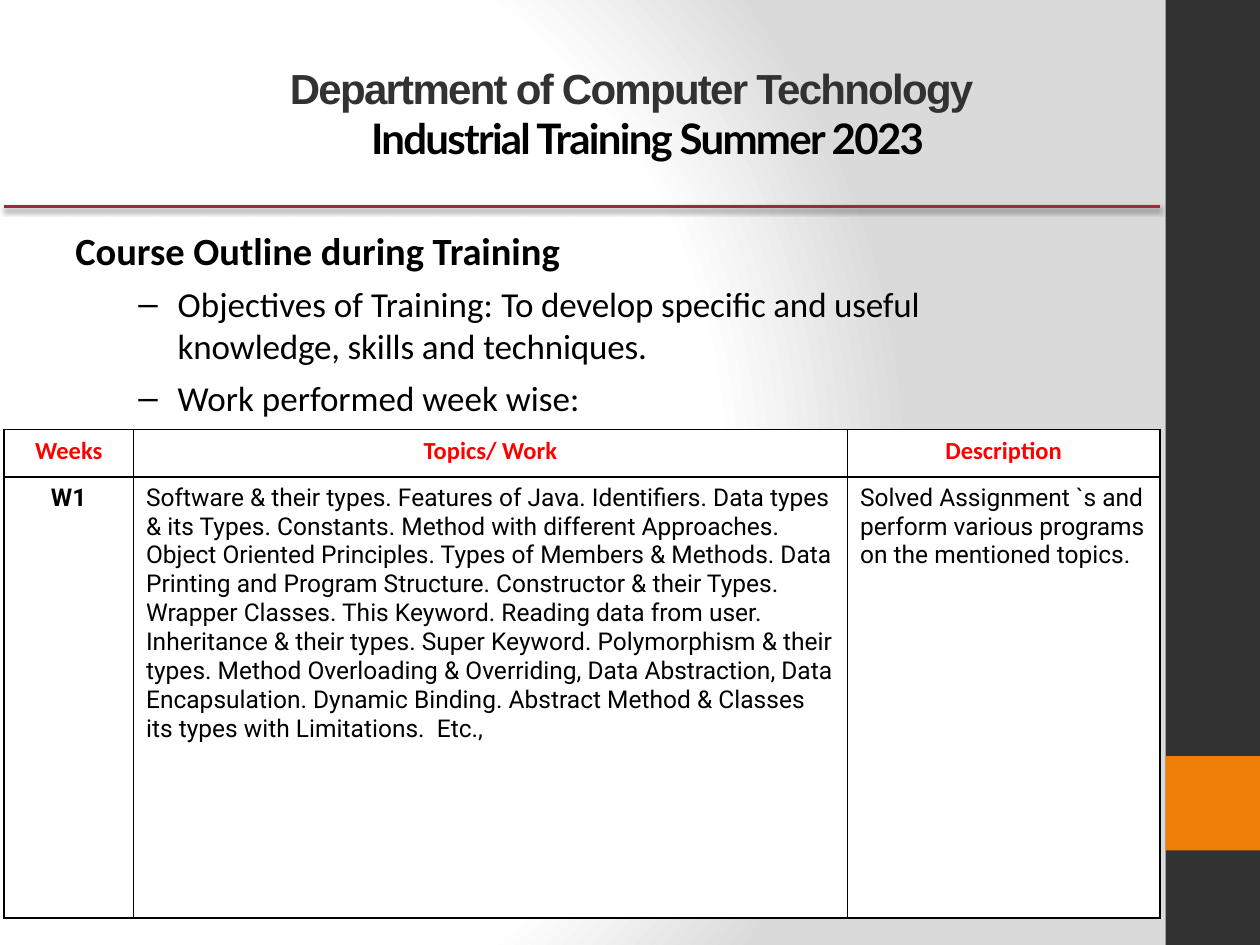
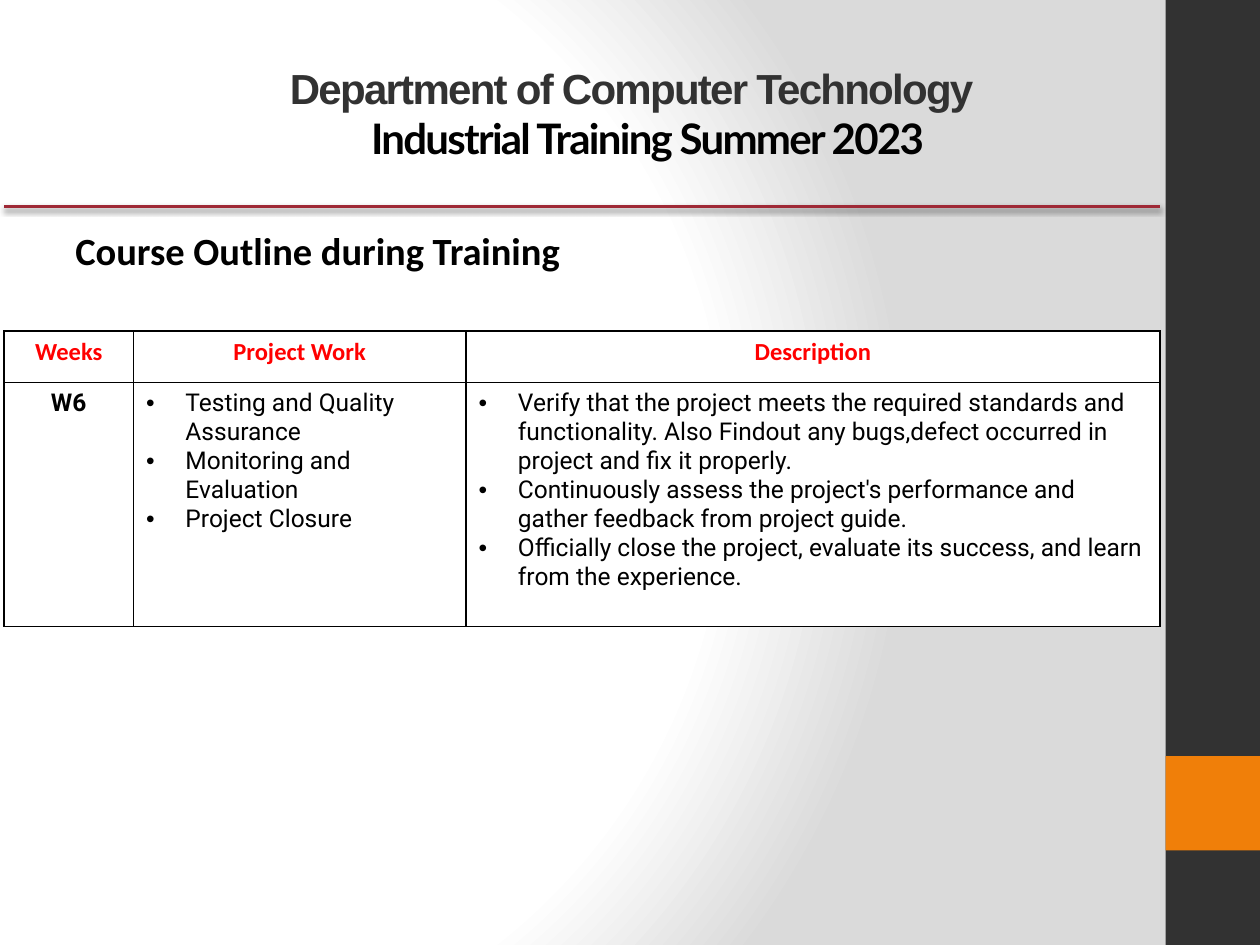
from lxml.etree import SubElement
from pptx import Presentation
from pptx.dml.color import RGBColor
from pptx.enum.shapes import MSO_CONNECTOR as Connector, MSO_SHAPE as Shape
from pptx.enum.text import MSO_ANCHOR as Anchor, PP_ALIGN as Align
from pptx.oxml import parse_xml
from pptx.oxml.ns import nsdecls, qn
from pptx.util import Pt

WHITE = RGBColor(0xFF, 0xFF, 0xFF)
BLACK = RGBColor(0, 0, 0)
CHARCOAL = RGBColor(0x32, 0x32, 0x32)
ORANGE = RGBColor(0xF0, 0x7F, 0x09)
CRIMSON = RGBColor(0x9F, 0x29, 0x36)
RED = RGBColor(0xFF, 0, 0)
SILVER = RGBColor(0xDA, 0xDA, 0xDA)

SLIDE_W, SLIDE_H = 720, 540
SIDEBAR_W = 54
TABLE_LEFT = 2.3
HANG = 22.5
BORDER_SIDES = ("L", "R", "T", "B")


def add_run(paragraph, text, font, size, color=BLACK, bold=False, spacing=0):
    run = paragraph.add_run()
    run.text = text
    run.font.name = font
    run.font.size = Pt(size)
    run.font.bold = bold
    run.font.color.rgb = color
    if spacing:
        run.font._element.set("spc", str(round(spacing * 100)))


def indent(paragraph, left, bullet=None):
    """Indent a paragraph; a bullet hangs to the left of its text."""
    props = paragraph._p.get_or_add_pPr()
    props.set("marL", str(Pt(left)))
    if bullet:
        props.set("indent", str(-Pt(HANG)))
        SubElement(props, qn("a:buFont"), typeface="Arial")
        SubElement(props, qn("a:buChar"), char=bullet)


def next_paragraph(frame, index):
    return frame.add_paragraph() if index else frame.paragraphs[0]


def add_text_frame(slide, left, top, width, height):
    frame = slide.shapes.add_textbox(Pt(left), Pt(top), Pt(width), Pt(height)).text_frame
    frame.word_wrap = True
    return frame


def add_background(slide):
    stops = "".join(
        f'<a:gs pos="{pos}000"><a:srgbClr val="{color}"/></a:gs>'
        for pos, color in ((0, WHITE), (75, WHITE), (100, SILVER)))
    slide.element.cSld.insert(0, parse_xml(
        f'<p:bg {nsdecls("p", "a")}><p:bgPr><a:gradFill rotWithShape="1">'
        f'<a:gsLst>{stops}</a:gsLst><a:path path="circle">'
        '<a:fillToRect l="20000" t="50000" r="100000" b="50000"/></a:path>'
        '</a:gradFill><a:effectLst/></p:bgPr></p:bg>'))


def add_sidebar(slide, left, width):
    for top, height, color in ((0, SLIDE_H, CHARCOAL), (SLIDE_H * 0.8, width, ORANGE)):
        band = slide.shapes.add_shape(Shape.RECTANGLE, Pt(left), Pt(top), Pt(width), Pt(height))
        band.shadow.inherit = False
        band.fill.solid()
        band.fill.fore_color.rgb = color
        band.line.fill.background()


def add_title(slide, left, top, width, height):
    frame = add_text_frame(slide, left, top, width, height)
    frame.vertical_anchor = Anchor.MIDDLE
    lines = (("Department of Computer Technology", "Arial", CHARCOAL, 57),
             ("Industrial Training Summer 2023", "Lato", BLACK, 75))
    for index, (text, font, color, shift) in enumerate(lines):
        line = next_paragraph(frame, index)
        line.alignment = Align.CENTER
        indent(line, shift)
        add_run(line, text, font, 24, color, bold=True, spacing=-1)


def add_title_rule(slide, left, right, y):
    rule = slide.shapes.add_connector(Connector.STRAIGHT, Pt(left), Pt(y), Pt(right), Pt(y))
    rule.line.color.rgb = CRIMSON
    rule.line.width = Pt(2)
    effects = SubElement(rule._element.spPr, qn("a:effectLst"))
    shadow = SubElement(effects, qn("a:outerShdw"), blurRad=str(Pt(3.1)),
                        dist=str(Pt(1.6)), dir="5400000", rotWithShape="0")
    tint = SubElement(shadow, qn("a:srgbClr"), val=str(BLACK))
    SubElement(tint, qn("a:alpha"), val="38000")


def add_outline(slide, left, top, width, height, points):
    frame = add_text_frame(slide, left, top, width, height)
    add_run(frame.paragraphs[0], "Course Outline during Training", "Calibri", 22, bold=True)
    for runs in points:
        point = frame.add_paragraph()
        point.space_before = Pt(5.6)
        indent(point, 58.5, "–")
        for text, spacing in runs:
            add_run(point, text, "Calibri", 20, spacing=spacing)


def style_cell(cell):
    props = cell._tc.get_or_add_tcPr()
    for side in BORDER_SIDES:
        border = SubElement(props, qn(f"a:ln{side}"), w=str(Pt(1)))
        fill = SubElement(border, qn("a:solidFill"))
        SubElement(fill, qn("a:srgbClr"), val=str(BLACK))
    cell.fill.solid()
    cell.fill.fore_color.rgb = WHITE


def add_week_table(slide, left, top, columns, rows, headings, week, entries, bullet=None):
    """Add a heading row and one week; each entry is a list of paragraphs."""
    table = slide.shapes.add_table(2, len(columns), Pt(left), Pt(top),
                                   Pt(sum(columns)), Pt(sum(rows))).table
    table.first_row = table.horz_banding = False
    for column, width in zip(table.columns, columns):
        column.width = Pt(width)
    for row, height in zip(table.rows, rows):
        row.height = Pt(height)
    for cell in table.iter_cells():
        style_cell(cell)

    centred = [(table.cell(0, i), text, "Calibri", RED) for i, text in enumerate(headings)]
    centred.append((table.cell(1, 0), week, "Roboto", BLACK))
    for cell, text, font, color in centred:
        label = cell.text_frame.paragraphs[0]
        label.alignment = Align.CENTER
        add_run(label, text, font, 14, color, bold=True)

    for column, entry in enumerate(entries, start=1):
        for index, text in enumerate(entry):
            item = next_paragraph(table.cell(1, column).text_frame, index)
            if bullet:
                indent(item, HANG, bullet)
            add_run(item, text, "Roboto", 14)


def add_week_slide(deck, points, **week_table):
    slide = deck.slides.add_slide(deck.slide_layouts[6])
    add_background(slide)
    add_sidebar(slide, SLIDE_W - SIDEBAR_W, SIDEBAR_W)
    add_outline(slide, 36, 126, 590, 378, points)
    add_title_rule(slide, TABLE_LEFT, 663, 118)
    add_title(slide, 32.4, 19.4, 600, 90)
    add_week_table(slide, TABLE_LEFT, **week_table)


def main():
    deck = Presentation()
    deck.slide_width, deck.slide_height = Pt(SLIDE_W), Pt(SLIDE_H)

    add_week_slide(
        deck,
        points=[
            [("Objectives of Training: ", 0),
             ("To develop specific and useful knowledge, skills ", -0.1),
             ("and ", 0), ("techniques.", -0.1)],
            [("Work performed week wise:", 0)],
        ],
        top=245.5, columns=(74, 408, 178.5), rows=(27, 252),
        headings=("Weeks", "Topics/ Work", "Description"),
        week="W1",
        entries=(
            ["Software & their types. Features of Java. Identifiers. Data types & its Types. "
             "Constants. Method with different Approaches. Object Oriented Principles. "
             "Types of Members & Methods. Data Printing and Program Structure. "
             "Constructor & their Types. Wrapper Classes. This Keyword. Reading data from user. "
             "Inheritance & their types. Super Keyword. Polymorphism & their types. "
             "Method Overloading & Overriding, Data Abstraction, Data Encapsulation. "
             "Dynamic Binding. Abstract Method & Classes its types with Limitations.  Etc.,"],
            ["Solved Assignment `s and perform various programs on the mentioned topics."],
        ))

    add_week_slide(
        deck,
        points=[],
        top=189, columns=(74, 190, 396.5), rows=(29.5, 139.5),
        headings=("Weeks", "Project Work", "Description"),
        week="W6",
        entries=(
            ["Testing and Quality Assurance", "Monitoring and Evaluation", "Project Closure"],
            ["Verify that the project meets the required standards and functionality. "
             "Also Findout any bugs,defect occurred in project and fix it properly.",
             "Continuously assess the project's performance and gather feedback from "
             "project guide.",
             "Officially close the project, evaluate its success, and learn from the experience."],
        ),
        bullet="•")

    deck.save("out.pptx")


if __name__ == "__main__":
    main()
